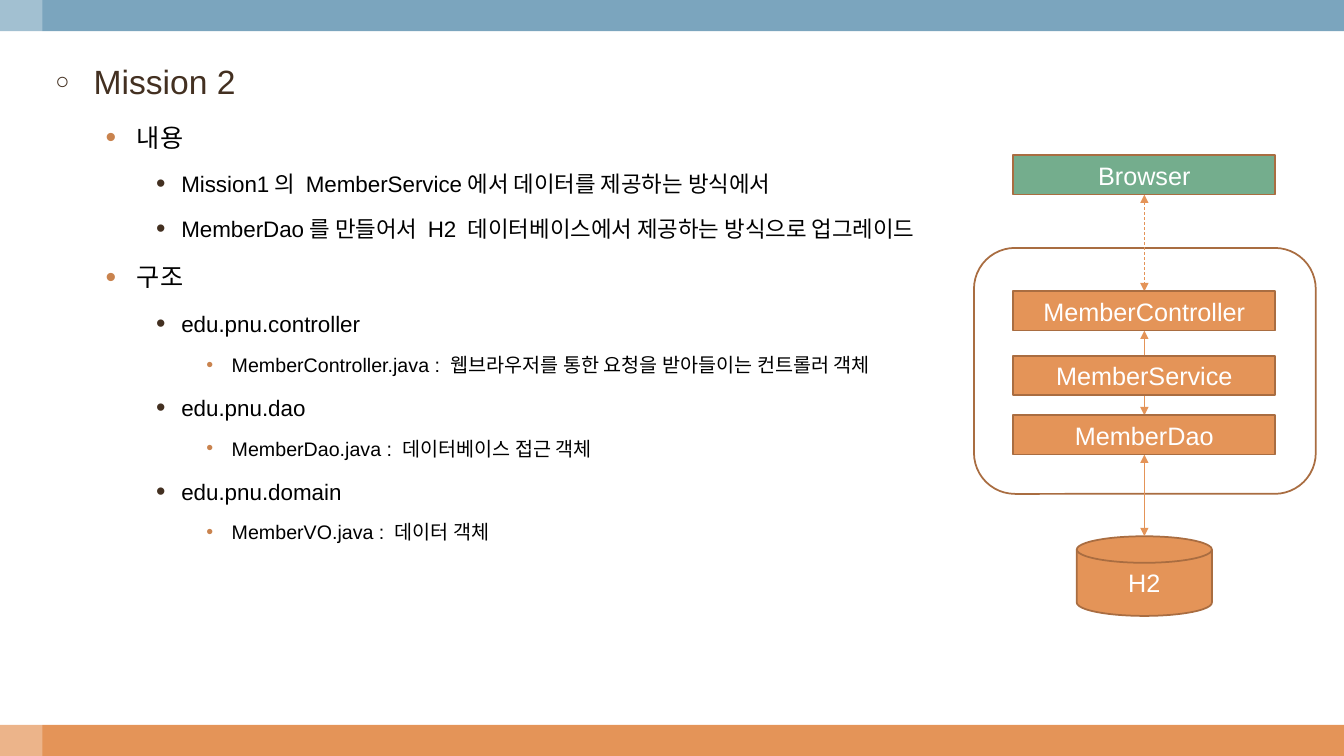
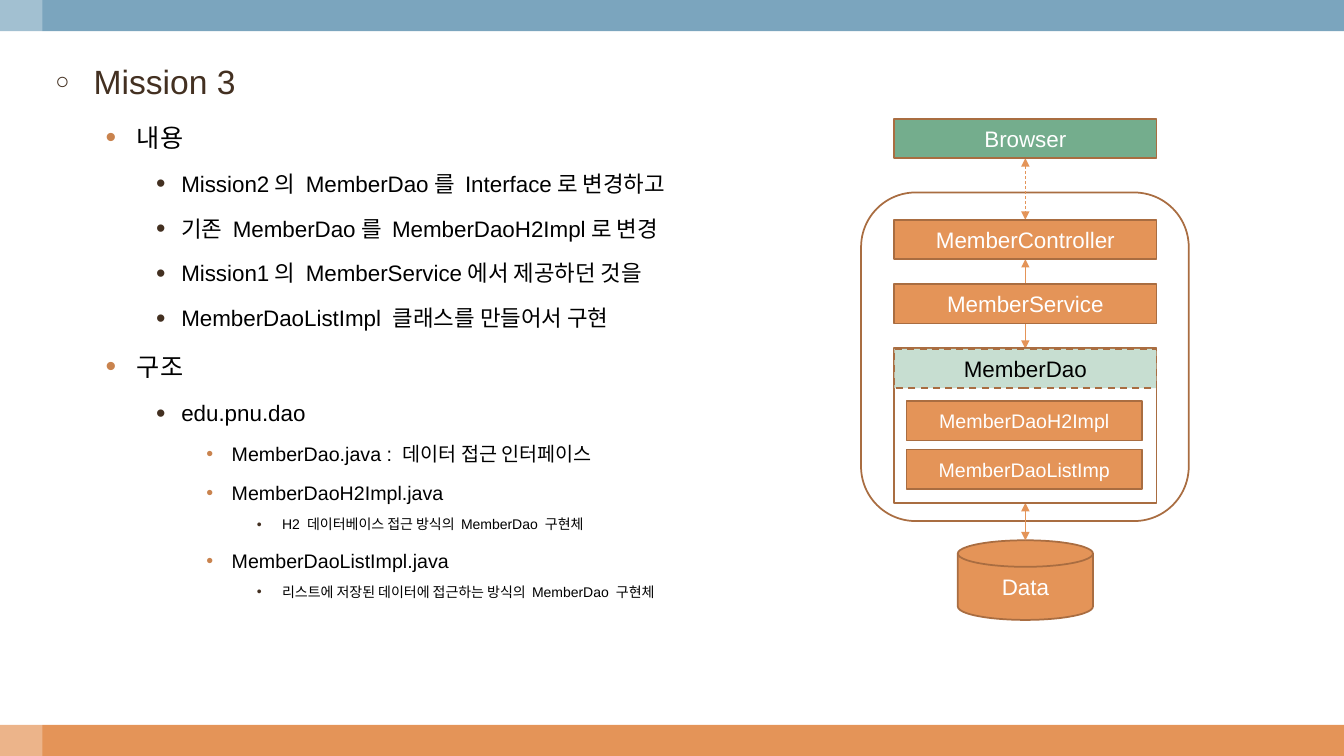
from lxml.etree import SubElement
from pptx import Presentation
from pptx.dml.color import RGBColor
from pptx.enum.dml import MSO_LINE
from pptx.enum.shapes import MSO_CONNECTOR, MSO_SHAPE
from pptx.enum.text import MSO_ANCHOR, PP_ALIGN
from pptx.oxml.ns import qn
from pptx.util import Inches, Pt

COLORS = {
    "orange": "E49458", "blue": "7BA5BE", "green": "74AD8D", "mint": "C7DED1",
    "edge": "A96D41", "bullet": "C9834E", "brown": "433021",
    "white": "FFFFFF", "black": "000000",
}
FONT = "Arial"
WIDTH, HEIGHT, BAND = 13.33, 7.5, 0.31
BOX_W, BOX_H = 2.6, 0.39
DISK_W, DISK_H = 1.34, 0.79
# Per outline level: size, text colour, left margin, hanging, bullet, bullet colour, bullet %
LEVELS = [
    (24, "brown", 0.38, 0.38, "○", "brown", 70),
    (18, "black", 0.81, 0.31, "•", "bullet", 120),
    (16, "black", 1.25, 0.25, "•", "brown", 120),
    (14, "black", 1.75, 0.25, "•", "bullet", 100),
    (10, "black", 2.25, 0.25, "•", "brown", 100),
]


def rgb(name):
    """Return the named palette colour."""
    return RGBColor.from_string(COLORS[name])


def add_xml(parent, tag, **attrs):
    """Append a DrawingML child element and return it."""
    return SubElement(parent, qn(tag), attrs)


class Deck:
    """Holds the shared style and the current slide."""

    def __init__(self):
        """Start an empty widescreen presentation."""
        self.prs = Presentation()
        self.prs.slide_width = Inches(WIDTH)
        self.prs.slide_height = Inches(HEIGHT)

    def new_slide(self):
        """Add a blank slide with its bands and pale left strip."""
        self.slide = self.prs.slides.add_slide(self.prs.slide_layouts[6])
        self.shape(0, HEIGHT - BAND, WIDTH, BAND, "orange", edge=None)
        self.shape(0, 0, WIDTH, BAND, "blue", edge=None)
        strip = self.shape(0, 0, 0.42, HEIGHT, "white", edge=None)
        color = strip.fill._xPr.find(qn("a:solidFill"))[0]
        add_xml(color, "a:alpha", val="30000")

    def shape(self, x, y, w, h, fill, edge="edge", kind=MSO_SHAPE.RECTANGLE, dashed=False):
        """Draw a preset shape with an optional fill and outline."""
        sp = self.slide.shapes.add_shape(kind, Inches(x), Inches(y), Inches(w), Inches(h))
        sp.shadow.inherit = False
        if fill:
            sp.fill.solid()
            sp.fill.fore_color.rgb = rgb(fill)
        else:
            sp.fill.background()
        if edge:
            sp.line.color.rgb = rgb(edge)
            sp.line.width = Pt(1.25)
            if dashed:
                sp.line.dash_style = MSO_LINE.DASH
        else:
            sp.line.fill.background()
        return sp

    def style(self, p, size, color):
        """Format every run of a paragraph."""
        for r in p.runs:
            r.font.name = FONT
            r.font.size = Pt(size)
            r.font.color.rgb = rgb(color)

    def label(self, sp, text, size, color="white"):
        """Centre a caption inside a shape."""
        tf = sp.text_frame
        tf.text = text
        tf.vertical_anchor = MSO_ANCHOR.MIDDLE
        p = tf.paragraphs[0]
        p.alignment = PP_ALIGN.CENTER
        self.style(p, size, color)

    def box(self, cx, y, text, size, fill="orange", color="white", w=BOX_W, dashed=False):
        """Draw a captioned box centred on cx."""
        sp = self.shape(cx - w / 2, y, w, BOX_H, fill, dashed=dashed)
        self.label(sp, text, size, color)

    def disk(self, cx, y, text, size):
        """Draw a captioned data store centred on cx."""
        sp = self.shape(cx - DISK_W / 2, y, DISK_W, DISK_H, "orange",
                        kind=MSO_SHAPE.FLOWCHART_MAGNETIC_DISK)
        self.label(sp, text, size)

    def arrow(self, x, top, bottom, dashed=False):
        """Draw a vertical double-headed arrow."""
        line = self.slide.shapes.add_connector(
            MSO_CONNECTOR.STRAIGHT, Inches(x), Inches(top), Inches(x), Inches(bottom))
        line.line.color.rgb = rgb("orange")
        line.line.width = Pt(0.5)
        if dashed:
            line.line.dash_style = MSO_LINE.DASH
        ln = line.line._get_or_add_ln()
        for tag in ("a:headEnd", "a:tailEnd"):
            add_xml(ln, tag, type="triangle")
        add_xml(line._element.spPr, "a:effectLst")

    def outline(self, items):
        """Write a bulleted outline from (level, text) pairs."""
        sp = self.slide.shapes.add_textbox(
            Inches(0.45), Inches(0.36), Inches(11.1), Inches(6.77))
        tf = sp.text_frame
        tf.word_wrap = True
        for i, (level, text) in enumerate(items):
            size, color, margin, hang, char, bullet_color, percent = LEVELS[level]
            p = tf.paragraphs[0] if i == 0 else tf.add_paragraph()
            p.text = text
            p.level = level
            p.line_spacing = 1.5
            self.style(p, size, color)
            pPr = p._p.get_or_add_pPr()
            pPr.set("marL", str(Inches(margin)))
            pPr.set("indent", str(-Inches(hang)))
            add_xml(add_xml(pPr, "a:spcBef"), "a:spcPct", val="20000")
            add_xml(add_xml(pPr, "a:buClr"), "a:srgbClr", val=COLORS[bullet_color])
            add_xml(pPr, "a:buSzPct", val=str(percent * 1000))
            add_xml(pPr, "a:buFont", typeface=FONT)
            add_xml(pPr, "a:buChar", char=char)

    def layers(self, cx, frame, tops, dao_bottom, store, size):
        """Draw the chain from browser to store inside a rounded frame."""
        browser, controller, service, dao, disk = tops
        self.shape(*frame, "white", kind=MSO_SHAPE.ROUNDED_RECTANGLE)
        self.arrow(cx, browser + BOX_H, controller, dashed=True)
        self.arrow(cx, controller + BOX_H, dao)
        self.box(cx, browser, "Browser", size, "green")
        self.box(cx, controller, "MemberController", size)
        self.box(cx, service, "MemberService", size)
        self.disk(cx, disk, store, size)
        self.arrow(cx, dao_bottom, disk)


def mission_2(deck):
    """Build the slide that moves the data to a database."""
    deck.new_slide()
    deck.outline([
        (0, "Mission 2"),
        (1, "내용"),
        (2, "Mission1의 MemberService에서 데이터를 제공하는 방식에서"),
        (2, "MemberDao를 만들어서 H2 데이터베이스에서 제공하는 방식으로 업그레이드"),
        (1, "구조"),
        (2, "edu.pnu.controller"),
        (3, "MemberController.java : 웹브라우저를 통한 요청을 받아들이는 컨트롤러 객체"),
        (2, "edu.pnu.dao"),
        (3, "MemberDao.java : 데이터베이스 접근 객체"),
        (2, "edu.pnu.domain"),
        (3, "MemberVO.java : 데이터 객체"),
    ])
    cx, dao, size = 11.35, 4.12, 18
    deck.layers(cx, (9.66, 2.46, 3.39, 2.44), (1.54, 2.89, 3.53, dao, 5.32),
                dao + BOX_H, "H2", size)
    deck.box(cx, dao, "MemberDao", size)


def mission_3(deck):
    """Build the slide that turns the data layer into an interface."""
    deck.new_slide()
    deck.outline([
        (0, "Mission 3"),
        (1, "내용"),
        (2, "Mission2의 MemberDao를 Interface로 변경하고"),
        (2, "기존 MemberDao를 MemberDaoH2Impl로 변경"),
        (2, "Mission1의 MemberService에서 제공하던 것을"),
        (2, "MemberDaoListImpl 클래스를 만들어서 구현"),
        (1, "구조"),
        (2, "edu.pnu.dao"),
        (3, "MemberDao.java : 데이터 접근 인터페이스"),
        (3, "MemberDaoH2Impl.java"),
        (4, "H2 데이터베이스 접근 방식의 MemberDao 구현체"),
        (3, "MemberDaoListImpl.java"),
        (4, "리스트에 저장된 데이터에 접근하는 방식의 MemberDao 구현체"),
    ])
    cx, dao, size = 10.17, 3.46, 16
    group_top, group_h = 3.45, 1.54
    deck.layers(cx, (8.54, 1.91, 3.25, 3.26), (1.18, 2.18, 2.82, dao, 5.36),
                group_top + group_h, "Data", size)
    deck.shape(cx - BOX_W / 2, group_top, BOX_W, group_h, None)
    deck.box(cx, dao, "MemberDao", size, "mint", "black", dashed=True)
    for y, name in ((3.98, "MemberDaoH2Impl"), (4.46, "MemberDaoListImp")):
        deck.box(cx - 0.01, y, name, 14, w=2.34)


deck = Deck()
mission_2(deck)
mission_3(deck)
deck.prs.save("out.pptx")
